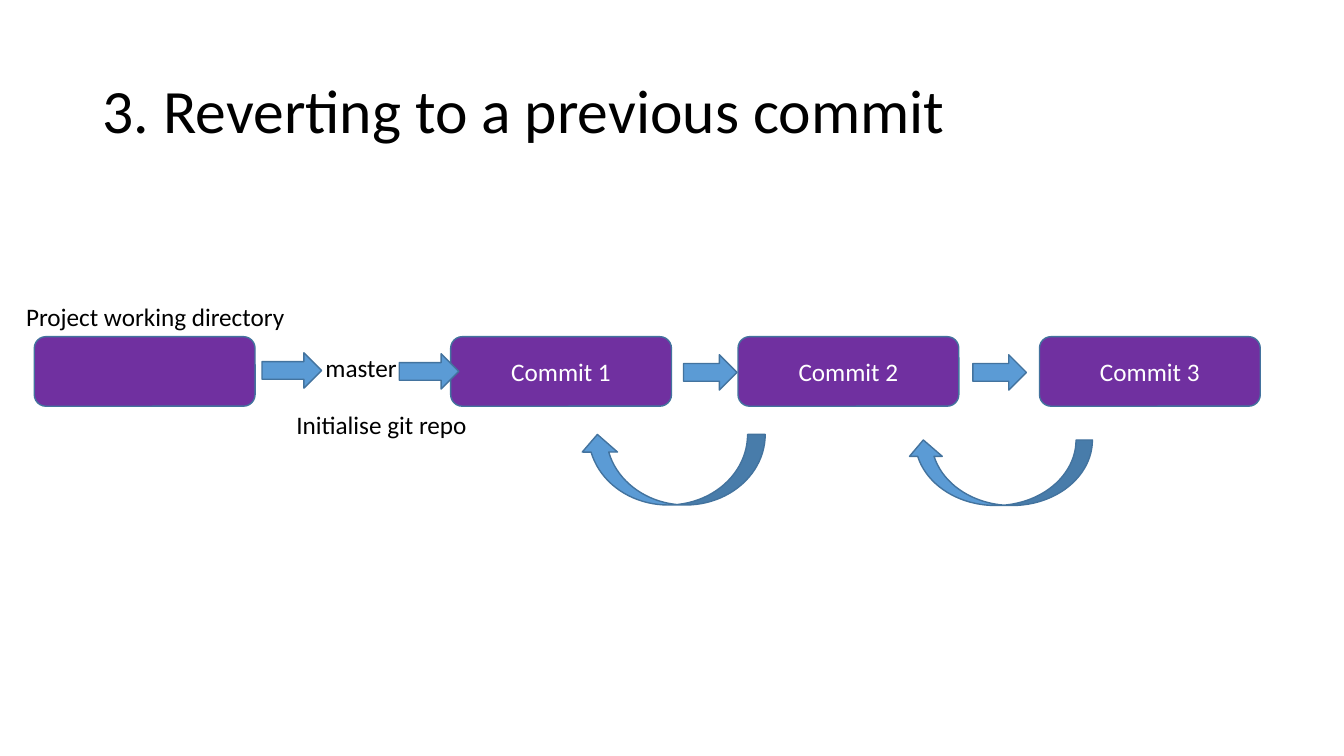
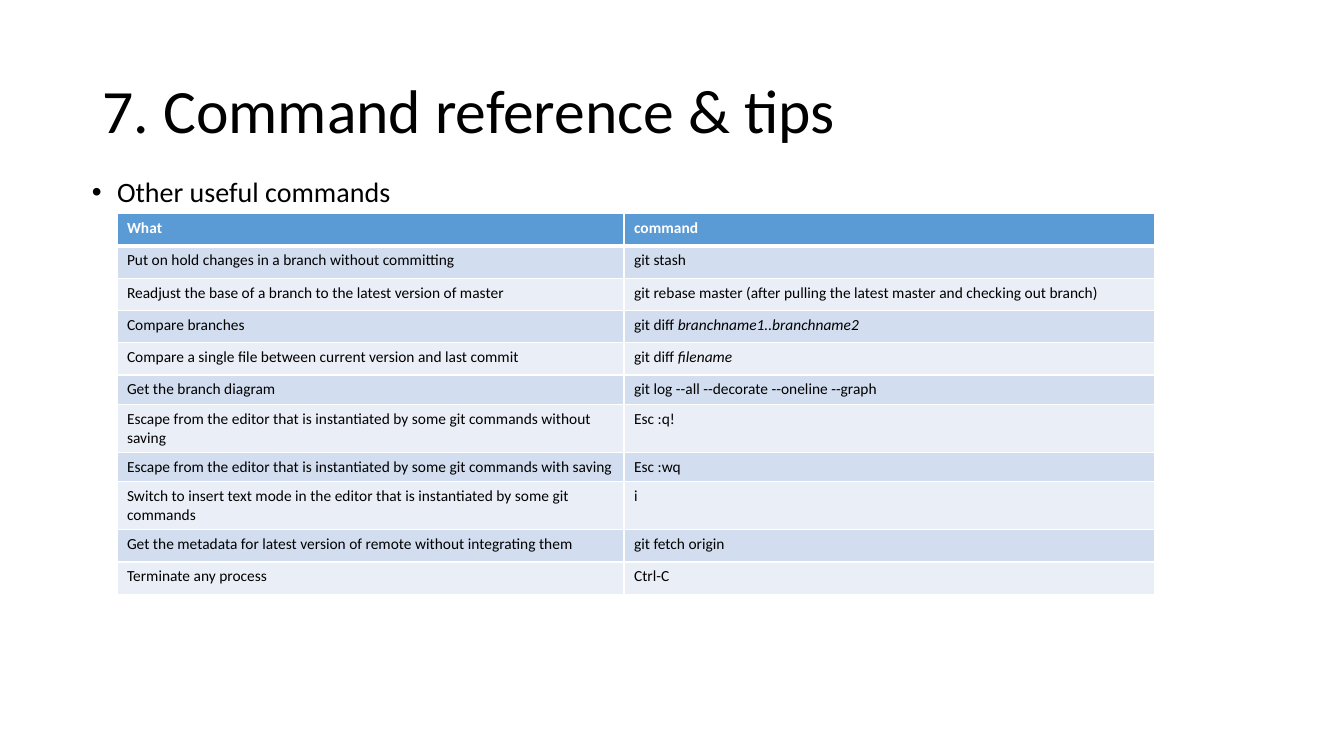
import pptx
import pptx.util
import pptx.dml.color
import pptx.enum.shapes
import pptx.enum.text
import pptx.oxml
import pptx.oxml.ns

SLIDE_WIDTH, SLIDE_HEIGHT = 13.33, 7.5
FONT = "Calibri"
BLACK, WHITE = "000000", "FFFFFF"
PURPLE, BLUE, OUTLINE = "7030A0", "5B9BD5", "43739E"
BANDS = ("D2DEEF", "EAEFF7")
TITLE_ONLY, TITLE_AND_BODY = 5, 1
SHAPES = pptx.enum.shapes.MSO_SHAPE
ALIGN = pptx.enum.text.PP_ALIGN
ANCHOR = pptx.enum.text.MSO_ANCHOR
AUTO_SIZE = pptx.enum.text.MSO_AUTO_SIZE

TITLE_AREA = (6.9, 5.33, 86.27, 19.33)
BODY_AREA = (6.08, 22.93, 86.27, 63.47)

# Flow diagram
BOX_TOP, BOX_WIDTH, BOX_HEIGHT = 44.53, 16.43, 9.2
BOXES = [(2.55, ""), (33.53, "Commit 1"), (54.91, "Commit 2"), (77.34, "Commit 3")]
ARROW_HEIGHT = 4.67
ARROWS = [(19.5, 46.67, 4.43), (29.71, 46.8, 4.43),
          (50.86, 46.93, 3.98), (72.39, 46.93, 3.98)]
REVERT_LENGTH = 24.53
REVERTS = [(71.94, 50.27, 4.88), (47.41, 49.87, 5.25)]
LABEL_HEIGHT = 5.33
LABELS = [(1.2, 39.2, 20.93, "Project working directory"),
          (21.31, 53.47, 14.33, "Initialise git repo"),
          (23.48, 46, 6.9, "master")]

# Command table; the second part of a pair is set in italics
TABLE_LEFT, TABLE_TOP = 8.7, 28.27
COLUMN_WIDTHS = (37.73, 39.46)
ROW_HEIGHTS = [4.27] * 5 + [3.87, 3.47, 3.47, 4] + [4.27] * 2
COMMANDS = [
    ("What", "command"),
    ("Put on hold changes in a branch without committing", "git stash"),
    ("Readjust the base of a branch to the latest version of master",
     "git rebase master (after pulling the latest master and checking out branch)"),
    ("Compare branches", ("git diff ", "branchname1..branchname2")),
    ("Compare a single file between current version and last commit",
     ("git diff ", "filename")),
    ("Get the branch diagram", "git log --all --decorate --oneline --graph"),
    ("Escape from the editor that is instantiated by some git commands without saving",
     "Esc :q!"),
    ("Escape from the editor that is instantiated by some git commands with saving",
     "Esc :wq"),
    ("Switch to insert text mode in the editor that is instantiated by some git commands",
     "i"),
    ("Get the metadata for latest version of remote without integrating them",
     "git fetch origin"),
    ("Terminate any process", "Ctrl-C"),
]


def rgb(color):
    return pptx.dml.color.RGBColor.from_string(color)


def across(percent):
    return pptx.util.Inches(SLIDE_WIDTH * percent / 100)


def down(percent):
    return pptx.util.Inches(SLIDE_HEIGHT * percent / 100)


def area(left, top, width, height):
    """Turn percentages of the slide into lengths."""
    return across(left), down(top), across(width), down(height)


def set_values(target, values):
    for name, value in values.items():
        setattr(target, name, value)


def add_text(para, text, size, color=BLACK, **font_values):
    span = para.add_run()
    span.text = text
    span.font.color.rgb = rgb(color)
    set_values(span.font, {"name": FONT, "size": pptx.util.Pt(size), **font_values})


def fill_placeholder(box, place, text, size, anchor, **para_values):
    set_values(box, dict(zip(("left", "top", "width", "height"), area(*place))))
    set_values(box.text_frame, {"auto_size": AUTO_SIZE.NONE, "word_wrap": True,
                                "vertical_anchor": anchor})
    para = box.text_frame.paragraphs[0]
    set_values(para, {"alignment": ALIGN.LEFT, "line_spacing": 0.9, **para_values})
    add_text(para, text, size)
    return para


def add_page(deck, layout, title):
    page = deck.slides.add_slide(deck.slide_layouts[layout])
    fill_placeholder(page.shapes.title, TITLE_AREA, title, 44, ANCHOR.MIDDLE)
    return page


def add_shape(page, kind, place, color, rotation=0, text=""):
    shape = page.shapes.add_shape(kind, *area(*place))
    shape.shadow.inherit = False
    shape.rotation = rotation
    shape.fill.solid()
    shape.fill.fore_color.rgb = rgb(color)
    shape.line.color.rgb = rgb(OUTLINE)
    shape.line.width = pptx.util.Pt(1)
    if text:
        para = shape.text_frame.paragraphs[0]
        para.alignment = ALIGN.CENTER
        add_text(para, text, 18, WHITE)


def add_label(page, place, text):
    frame = page.shapes.add_textbox(*area(*place)).text_frame
    set_values(frame, {"word_wrap": False, "auto_size": AUTO_SIZE.SHAPE_TO_FIT_TEXT})
    add_text(frame.paragraphs[0], text, 18)


def add_bullet(page, text):
    para = fill_placeholder(page.placeholders[1], BODY_AREA, text, 20, ANCHOR.TOP,
                            space_before=pptx.util.Pt(10))
    indent = pptx.util.Inches(0.25)
    properties = para._p.get_or_add_pPr()
    properties.set("marL", str(indent))
    properties.set("indent", str(-indent))


def add_borders(cell, widths):
    properties = cell._tc.get_or_add_tcPr()
    for side, width in widths.items():
        properties.append(pptx.oxml.parse_xml(
            f'<a:ln{side} {pptx.oxml.ns.nsdecls("a")} w="{pptx.util.Pt(width)}">'
            f'<a:solidFill><a:srgbClr val="{WHITE}"/></a:solidFill></a:ln{side}>'))


def fill_cell(cell, content, row):
    header = row == 0
    add_borders(cell, {"L": 1, "R": 1, "T": 3 if row == 1 else 1, "B": 3 if header else 1})
    cell.fill.solid()
    cell.fill.fore_color.rgb = rgb(BLUE if header else BANDS[(row - 1) % 2])
    parts = (content,) if isinstance(content, str) else content
    for index, part in enumerate(parts):
        add_text(cell.text_frame.paragraphs[0], part, 11, WHITE if header else BLACK,
                 bold=header, italic=index > 0)


def add_command_table(page):
    place = area(TABLE_LEFT, TABLE_TOP, sum(COLUMN_WIDTHS), sum(ROW_HEIGHTS))
    table = page.shapes.add_table(len(COMMANDS), len(COLUMN_WIDTHS), *place).table
    for column, width in zip(table.columns, COLUMN_WIDTHS):
        column.width = across(width)
    for row, (height, contents) in enumerate(zip(ROW_HEIGHTS, COMMANDS)):
        table.rows[row].height = down(height)
        for column, content in enumerate(contents):
            fill_cell(table.cell(row, column), content, row)


def add_revert_page(deck):
    page = add_page(deck, TITLE_ONLY, "3. Reverting to a previous commit")
    for left, text in BOXES:
        add_shape(page, SHAPES.ROUNDED_RECTANGLE,
                  (left, BOX_TOP, BOX_WIDTH, BOX_HEIGHT), PURPLE, text=text)
    for left, top, width in ARROWS:
        add_shape(page, SHAPES.RIGHT_ARROW, (left, top, width, ARROW_HEIGHT), BLUE)
    for left, top, width in REVERTS:
        add_shape(page, SHAPES.CURVED_LEFT_ARROW,
                  (left, top, width, REVERT_LENGTH), BLUE, rotation=90)
    for left, top, width, text in LABELS:
        add_label(page, (left, top, width, LABEL_HEIGHT), text)


def add_command_page(deck):
    page = add_page(deck, TITLE_AND_BODY, "7. Command reference & tips")
    add_bullet(page, "Other useful commands")
    add_command_table(page)


def main():
    deck = pptx.Presentation()
    deck.slide_width = across(100)
    deck.slide_height = down(100)
    add_revert_page(deck)
    add_command_page(deck)
    deck.save("out.pptx")


if __name__ == "__main__":
    main()
